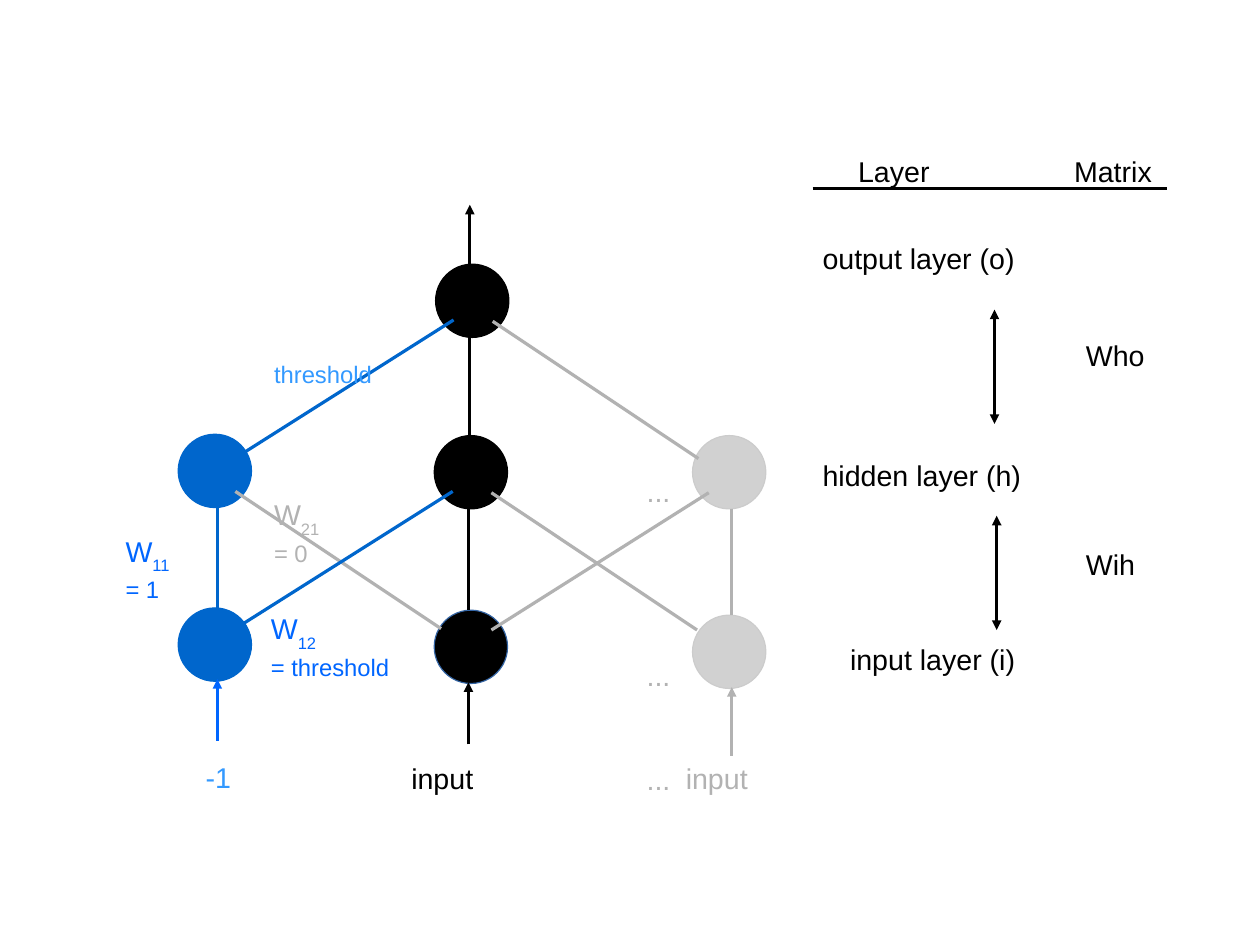
from lxml import etree
from pptx import Presentation
from pptx.dml.color import RGBColor
from pptx.enum.shapes import MSO_CONNECTOR, MSO_SHAPE
from pptx.enum.text import MSO_AUTO_SIZE
from pptx.oxml.ns import qn
from pptx.util import Cm, Pt

ELLIPSE = MSO_SHAPE.OVAL
STRAIGHT = MSO_CONNECTOR.STRAIGHT
GROW = MSO_AUTO_SIZE.SHAPE_TO_FIT_TEXT

BLACK = RGBColor(0x00, 0x00, 0x00)
GREY = RGBColor(0xB2, 0xB2, 0xB2)
PALE = RGBColor(0xCC, 0xCC, 0xCC)
NAVY = RGBColor(0x34, 0x65, 0xA4)
BLUE = RGBColor(0x00, 0x66, 0xCC)
BRIGHT = RGBColor(0x00, 0x66, 0xFF)
SKY = RGBColor(0x33, 0x99, 0xFF)

FONT = "Arial"
LARGE, SMALL = 18, 15
NEURON_SIZE = 1.63
FAINT_OPACITY = 18

# left, top, fill, outline, opacity in percent
NEURONS = [
    (9.65, 13.56, BLACK, NAVY, 100),
    (15.39, 13.67, BLACK, PALE, FAINT_OPACITY),
    (9.65, 9.68, BLACK, BLACK, 100),
    (15.39, 9.68, BLACK, PALE, FAINT_OPACITY),
    (9.68, 5.87, BLACK, BLACK, 100),
    (3.96, 13.51, BLUE, BLUE, 100),
    (3.96, 9.65, BLUE, BLUE, 100),
]

NO_HEADS, END_HEAD, BOTH_HEADS = (), ("tailEnd",), ("headEnd", "tailEnd")
LINKS = {
    NO_HEADS: [
        (10.41, 11.3, 10.41, 13.56, BLACK),
        (16.26, 11.3, 16.26, 13.67, GREY),
        (10.92, 10.95, 15.49, 14, GREY),
        (15.75, 10.95, 10.92, 14, GREY),
        (10.44, 7.49, 10.44, 9.75, BLACK),
        (10.95, 7.14, 15.52, 10.19, GREY),
        (5.23, 10.92, 9.8, 13.97, GREY),
        (10.06, 10.92, 5.23, 13.97, BLUE),
        (10.08, 7.11, 5.26, 10.16, BLUE),
        (4.83, 11.28, 4.83, 13.51, BLUE),
        (18.06, 4.19, 25.93, 4.19, BLACK),
    ],
    END_HEAD: [
        (10.41, 16.54, 10.41, 15.16, BLACK),
        (16.26, 16.79, 16.26, 15.27, GREY),
        (4.83, 16.46, 4.83, 15.09, BRIGHT),
        (10.44, 5.94, 10.44, 4.55, BLACK),
    ],
    BOTH_HEADS: [
        (22.1, 6.88, 22.1, 9.42, BLACK),
        (22.15, 11.46, 22.15, 14, BLACK),
    ],
}

LABELS = [
    (18.82, 3.3, 2.79, 2.54, BLACK, LARGE, "Layer"),
    (23.62, 3.3, 2.79, 2.54, BLACK, LARGE, "Matrix"),
    (18.03, 5.23, 5.33, 1.68, BLACK, LARGE, "output layer (o)"),
    (18.03, 10.06, 5.33, 1.68, BLACK, LARGE, "hidden layer (h)"),
    (18.64, 14.15, 5.33, 1.68, BLACK, LARGE, "input layer (i)"),
    (23.88, 7.39, 2.03, 0.97, BLACK, LARGE, "Who"),
    (23.88, 12.04, 2.03, 0.97, BLACK, LARGE, "Wih"),
    (4.32, 16.76, 3.05, 1.68, SKY, LARGE, "-1"),
    (8.89, 16.79, 3.05, 1.68, BLACK, LARGE, "input"),
    (14.99, 16.79, 3.05, 1.68, GREY, LARGE, "input"),
    (5.84, 7.87, 3.4, 2.29, SKY, SMALL, "threshold"),
] + [(14.12, top, 3.4, 2.29, GREY, LARGE, "...") for top in (10.41, 14.5, 16.81)]

WEIGHTS = [
    (2.54, 11.73, 2.03, 1.7, BRIGHT, "11", "= 1"),
    (5.77, 13.46, 3.4, 2.29, BRIGHT, "12", "= threshold"),
    (5.84, 10.92, 3.4, 2.29, GREY, "21", "= 0"),
]

prs = Presentation()
prs.slide_width, prs.slide_height = Cm(28), Cm(21)
slide = prs.slides.add_slide(prs.slide_layouts[6])
shapes = slide.shapes


def add_neuron(left, top, fill, outline, opacity):
    neuron = shapes.add_shape(ELLIPSE, Cm(left), Cm(top), Cm(NEURON_SIZE), Cm(NEURON_SIZE))
    neuron.shadow.inherit = False
    neuron.fill.solid()
    neuron.fill.fore_color.rgb = fill
    neuron.line.color.rgb = outline
    neuron.line.width = Pt(0)
    if opacity < 100:
        color = neuron.element.spPr.find(qn("a:solidFill"))[0]
        etree.SubElement(color, qn("a:alpha"), val=str(opacity * 1000))


def add_link(x1, y1, x2, y2, color, heads):
    link = shapes.add_connector(STRAIGHT, Cm(x1), Cm(y1), Cm(x2), Cm(y2))
    link.line.color.rgb = color
    link.line.width = Pt(0)
    properties = link.element.spPr
    outline = properties.find(qn("a:ln"))
    for head in heads:
        etree.SubElement(outline, qn("a:" + head), type="triangle")
    etree.SubElement(properties, qn("a:effectLst"))


def add_label(left, top, width, height, color, paragraphs):
    frame = shapes.add_textbox(Cm(left), Cm(top), Cm(width), Cm(height)).text_frame
    frame.word_wrap = True
    frame.auto_size = GROW
    for index, parts in enumerate(paragraphs):
        paragraph = frame.add_paragraph() if index else frame.paragraphs[0]
        for text, size, subscript in parts:
            run = paragraph.add_run()
            run.text = text
            run.font.name = FONT
            run.font.size = Pt(size)
            run.font.color.rgb = color
            if subscript:
                run.font._element.set("baseline", "-33000")


for neuron in NEURONS:
    add_neuron(*neuron)
for heads, links in LINKS.items():
    for link in links:
        add_link(*link, heads)
for *place, color, size, text in LABELS:
    add_label(*place, color, [[(text, size, False)]])
for *place, color, indices, value in WEIGHTS:
    add_label(*place, color, [
        [("W", LARGE, False), (indices, LARGE, True)],
        [(value, SMALL, False)],
    ])

prs.save("out.pptx")
